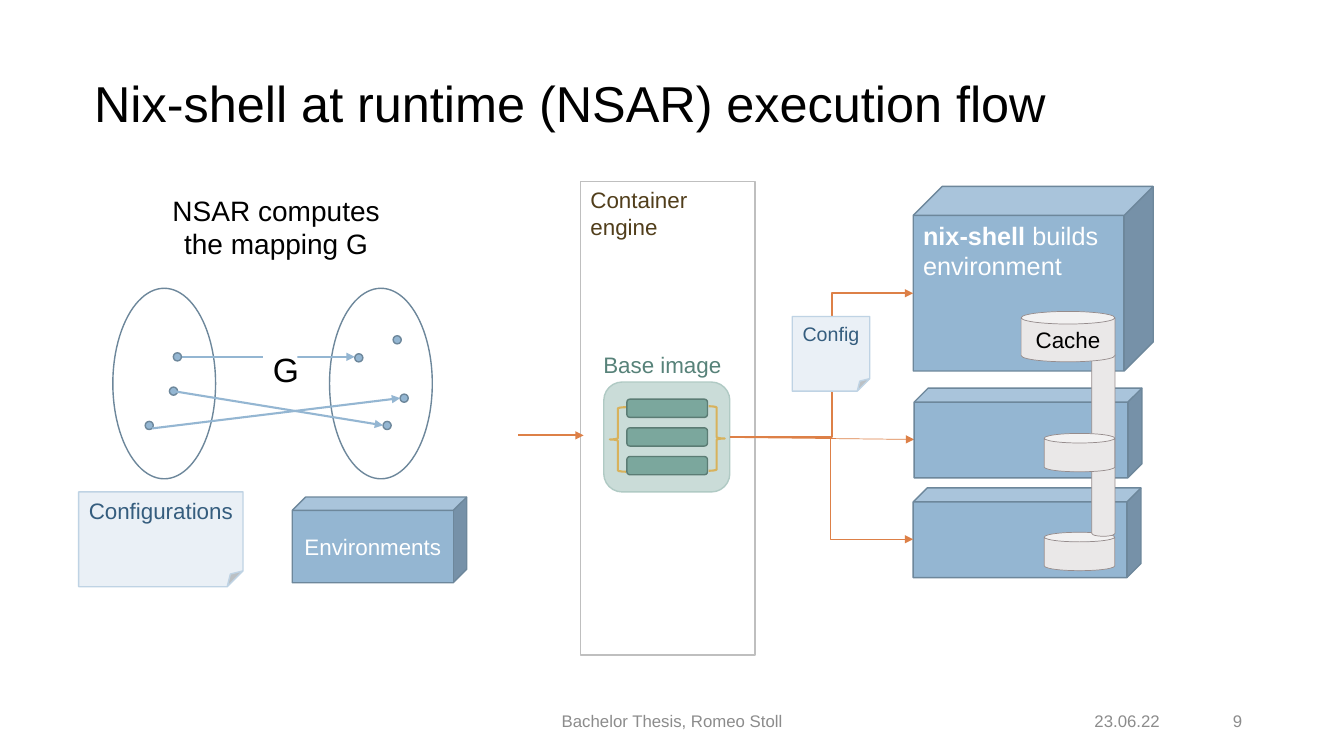
from dataclasses import dataclass
from typing import Optional

from lxml import etree
from pptx import Presentation
from pptx.dml.color import RGBColor
from pptx.enum.shapes import MSO_CONNECTOR, MSO_SHAPE
from pptx.enum.text import MSO_ANCHOR, PP_ALIGN
from pptx.oxml.ns import qn
from pptx.util import Pt

CUBE, CAN, OVAL = MSO_SHAPE.CUBE, MSO_SHAPE.CAN, MSO_SHAPE.OVAL
RECT, ROUNDED = MSO_SHAPE.RECTANGLE, MSO_SHAPE.ROUNDED_RECTANGLE
NOTE, BRACE = MSO_SHAPE.FOLDED_CORNER, MSO_SHAPE.LEFT_BRACE
STRAIGHT, ELBOW = MSO_CONNECTOR.STRAIGHT, MSO_CONNECTOR.ELBOW
TOP, MIDDLE = MSO_ANCHOR.TOP, MSO_ANCHOR.MIDDLE
LEFT, CENTER, RIGHT = PP_ALIGN.LEFT, PP_ALIGN.CENTER, PP_ALIGN.RIGHT

FONT = "Arial"
BLACK = RGBColor(0x00, 0x00, 0x00)
WHITE = RGBColor(0xFF, 0xFF, 0xFF)
GREY = RGBColor(0x8C, 0x8C, 0x8C)
FRAME_GREY = RGBColor(0xBF, 0xBF, 0xBF)
BLUE = RGBColor(0x94, 0xB6, 0xD2)
BLUE_EDGE = RGBColor(0x6D, 0x87, 0x9B)
NOTE_FILL = RGBColor(0xEA, 0xF0, 0xF6)
NOTE_EDGE = RGBColor(0xBF, 0xD3, 0xE4)
NOTE_TEXT = RGBColor(0x35, 0x5D, 0x7E)
IMAGE_FILL = RGBColor(0xCA, 0xDC, 0xD8)
IMAGE_EDGE = RGBColor(0xB0, 0xCA, 0xC4)
IMAGE_TEXT = RGBColor(0x57, 0x82, 0x79)
LAYER_FILL = RGBColor(0x7B, 0xA7, 0x9D)
LAYER_EDGE = RGBColor(0x5B, 0x7C, 0x74)
GOLD = RGBColor(0xD8, 0xB2, 0x5C)
BROWN = RGBColor(0x51, 0x3E, 0x1B)
CACHE_FILL = RGBColor(0xEA, 0xE8, 0xE8)
CACHE_EDGE = RGBColor(0x96, 0x8C, 0x8C)
ORANGE = RGBColor(0xDD, 0x80, 0x47)


@dataclass(frozen=True)
class Label:
    runs: tuple[tuple[str, bool], ...]
    size: float
    color: RGBColor
    align: PP_ALIGN = CENTER
    anchor: MSO_ANCHOR = TOP
    wrap: bool = True


@dataclass(frozen=True)
class Style:
    kind: MSO_SHAPE
    fill: Optional[RGBColor]
    edge: Optional[RGBColor]
    weight: float = 1
    adjustment: Optional[float] = None


@dataclass(frozen=True)
class Node:
    style: Optional[Style]  # None stands for a text box
    left: float
    top: float
    width: float
    height: float
    label: Optional[Label] = None
    mirrored: bool = False


@dataclass(frozen=True)
class Arrow:
    start: tuple[float, float]
    end: tuple[float, float]
    color: RGBColor
    weight: float = 1.5
    bend: Optional[int] = None  # elbow position in 1/100000 of the width


ENVIRONMENT = Style(CUBE, BLUE, BLUE_EDGE, adjustment=0.157)
CACHE = Style(CAN, CACHE_FILL, CACHE_EDGE, 0.5)
CONFIG = Style(NOTE, NOTE_FILL, NOTE_EDGE)
SET = Style(OVAL, WHITE, BLUE_EDGE)
ELEMENT = Style(OVAL, BLUE, BLUE_EDGE)
IMAGE = Style(ROUNDED, IMAGE_FILL, IMAGE_EDGE)
LAYER = Style(ROUNDED, LAYER_FILL, LAYER_EDGE)
LAYER_BRACE = Style(BRACE, None, GOLD, 1.5)
ENGINE = Style(RECT, None, FRAME_GREY)
MAPPING = Style(RECT, WHITE, None)

IMAGE_EXIT = (521.3, 312.5)
FOOTER_TOP, FOOTER_HEIGHT = 500.4, 28.8
DOT = 5.8
DOTS = [(121, 276.5), (103.7, 301), (123.8, 252), (253.4, 252.7),
        (273.6, 301), (285.8, 281.5), (280.8, 239.8)]


def plain(text: str, size: float, color: RGBColor, align: PP_ALIGN = CENTER,
          anchor: MSO_ANCHOR = TOP, wrap: bool = True) -> Label:
    return Label(((text, False),), size, color, align, anchor, wrap)


def footer(text: str, left: float, width: float, align: PP_ALIGN) -> Node:
    return Node(None, left, FOOTER_TOP, width, FOOTER_HEIGHT,
                plain(text, 12, GREY, align, MIDDLE))


# Everything below the title, from back to front
FLOW: list[Node | Arrow] = [
    Node(ENVIRONMENT, 652.3, 348.5, 162.7, 64.1),
    Node(None, 112.3, 134.6, 169.9, 55.4,
         plain("NSAR computes the mapping G", 20, BLACK)),
    Arrow(IMAGE_EXIT, (653, 313.9), ORANGE, 0.5),
    # Base image inside the container engine
    Node(None, 416.2, 247, 113.8, 26.6, plain("Base image", 16, IMAGE_TEXT)),
    Node(IMAGE, 431.3, 272.9, 90, 78.5),
    *[Node(LAYER, 447.8, 285.1 + 20.5 * i, 57.6, 13) for i in range(3)],
    Node(LAYER_BRACE, 435.6, 290.9, 11.5, 46.1),
    Node(LAYER_BRACE, 506.2, 290.2, 11.5, 46.1, mirrored=True),
    Node(ENGINE, 414.7, 129.6, 124.6, 338.4,
         plain("Container engine", 16, BROWN, LEFT)),
    Arrow((370.1, 311), (416.9, 311), ORANGE),
    # Legend under the two sets
    Node(ENVIRONMENT, 208.8, 355, 124.6, 61.2,
         plain("Environments", 16, WHITE, anchor=MIDDLE)),
    Node(CONFIG, 56.2, 351.4, 117.4, 67.7,
         plain("Configurations", 16, NOTE_TEXT, wrap=False)),
    # Built environments with their shared cache
    Node(ENVIRONMENT, 652.3, 133.2, 171.4, 131.8,
         Label((("nix-shell ", True), ("builds environment", False)),
               18, WHITE, LEFT)),
    Node(ENVIRONMENT, 653, 277.2, 162.7, 64.1),
    Node(CACHE, 745.9, 380.2, 50.4, 27.4),
    Node(CACHE, 779.8, 251.3, 16.6, 131.8),
    Node(CACHE, 729.4, 222.5, 67, 36,
         plain("Cache", 16, BLACK, anchor=MIDDLE)),
    Node(CACHE, 745.9, 309.6, 50.4, 27.4),
    Arrow(IMAGE_EXIT, (652.3, 209.5), ORANGE, bend=55600),
    Node(CONFIG, 565.9, 226.1, 55.4, 53.3,
         plain("Config", 14, NOTE_TEXT, wrap=False)),
    Arrow(IMAGE_EXIT, (652.3, 385.2), ORANGE, 0.5, bend=54900),
    # Mapping between the two sets
    *[Node(SET, left, 205.9, 73.4, 136.1) for left in (80.6, 235.4)],
    Arrow((128.9, 254.9), (253.4, 254.9), BLUE),
    *[Node(ELEMENT, left, top, DOT, DOT) for left, top in DOTS],
    Arrow((123.8, 279.4), (273.6, 303.8), BLUE),
    Arrow((108.7, 306), (285.8, 284.4), BLUE),
    Node(MAPPING, 187.9, 245.5, 24.5, 36, plain("G", 24, BLACK)),
    # Footer
    footer("Bachelor Thesis, Romeo Stoll", 318.2, 324, CENTER),
    footer("23.06.22", 774.7, 69.1, LEFT),
    footer("9", 844.6, 49.7, RIGHT),
]


def write_label(shape, label: Label) -> None:
    frame = shape.text_frame
    frame.word_wrap = label.wrap
    frame.vertical_anchor = label.anchor
    paragraph = frame.paragraphs[0]
    paragraph.alignment = label.align
    for text, bold in label.runs:
        run = paragraph.add_run()
        run.text = text
        run.font.name, run.font.size, run.font.bold = FONT, Pt(label.size), bold
        run.font.color.rgb = label.color


def draw_node(shapes, node: Node) -> None:
    box = [Pt(v) for v in (node.left, node.top, node.width, node.height)]
    style = node.style
    if style is None:
        shape = shapes.add_textbox(*box)
    else:
        shape = shapes.add_shape(style.kind, *box)
        shape.shadow.inherit = False
        if style.fill is None:
            shape.fill.background()
        else:
            shape.fill.solid()
            shape.fill.fore_color.rgb = style.fill
        if style.edge is None:
            shape.line.fill.background()
        else:
            shape.line.color.rgb = style.edge
            shape.line.width = Pt(style.weight)
        if style.adjustment is not None:
            shape.adjustments[0] = style.adjustment
    if node.mirrored:
        shape._element.spPr.find(qn("a:xfrm")).set("flipH", "1")
    if node.label:
        write_label(shape, node.label)


def draw_arrow(shapes, arrow: Arrow) -> None:
    route = STRAIGHT if arrow.bend is None else ELBOW
    connector = shapes.add_connector(
        route, *[Pt(v) for v in (*arrow.start, *arrow.end)])
    connector.line.color.rgb = arrow.color
    connector.line.width = Pt(arrow.weight)
    properties = connector._element.spPr
    etree.SubElement(properties.find(qn("a:ln")), qn("a:tailEnd"), type="triangle")
    etree.SubElement(properties, qn("a:effectLst"))
    if arrow.bend is not None:
        guides = properties.find(qn("a:prstGeom")).get_or_add_avLst()
        etree.SubElement(guides, qn("a:gd"), name="adj1", fmla=f"val {arrow.bend}")


def main() -> None:
    deck = Presentation()
    deck.slide_width, deck.slide_height = Pt(960), Pt(540)
    slide = deck.slides.add_slide(deck.slide_layouts[5])

    # Title
    title = slide.shapes.title
    title.left, title.top, title.width, title.height = Pt(60), Pt(24), Pt(828), Pt(104.4)
    write_label(title, plain("Nix-shell at runtime (NSAR) execution flow",
                             36, BLACK, LEFT, MIDDLE))
    title.text_frame.paragraphs[0].line_spacing = 0.9

    for part in FLOW:
        if isinstance(part, Arrow):
            draw_arrow(slide.shapes, part)
        else:
            draw_node(slide.shapes, part)
    deck.save("out.pptx")


if __name__ == "__main__":
    main()
